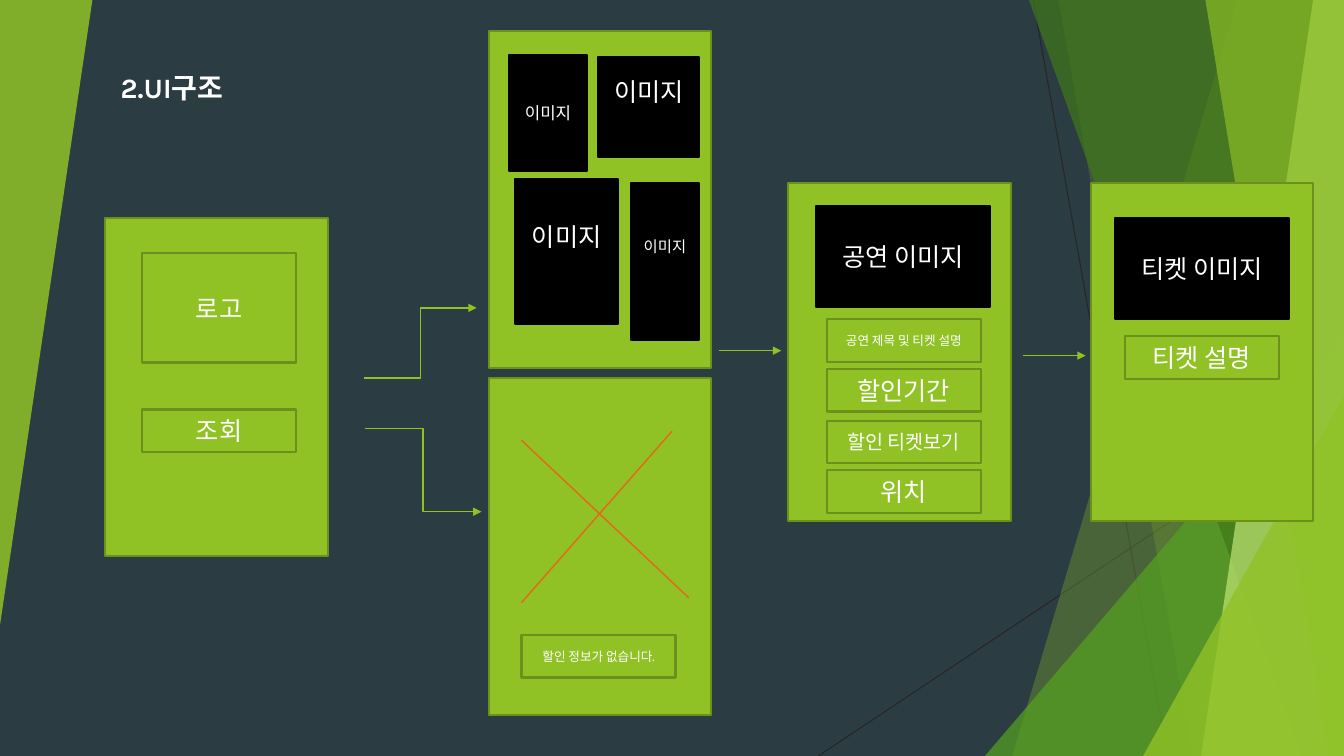
"""Build the UI structure slide: five screen panels joined by arrows."""
from lxml import etree
from pptx import Presentation
from pptx.dml.color import RGBColor
from pptx.enum.shapes import MSO_CONNECTOR, MSO_SHAPE
from pptx.enum.text import MSO_ANCHOR, MSO_AUTO_SIZE, PP_ALIGN
from pptx.oxml.ns import qn
from pptx.util import Pt

RECT, TRI = MSO_SHAPE.RECTANGLE, MSO_SHAPE.RIGHT_TRIANGLE
TRI = MSO_SHAPE.ISOSCELES_TRIANGLE
LINE, BENT = MSO_CONNECTOR.STRAIGHT, MSO_CONNECTOR.ELBOW
MIDDLE, BOTTOM = MSO_ANCHOR.MIDDLE, MSO_ANCHOR.BOTTOM
CENTER, LEFT = PP_ALIGN.CENTER, PP_ALIGN.LEFT
FONT = "Karla"
WIDE, HIGH = 960, 540
COLORS = {
    "back": "2C3C43", "lime": "90C226", "edge": "6B901C", "black": "000000",
    "white": "FFFFFF", "cross": "E76618", "hair": "262626",
    "green": "54A021", "dark": "3F7819", "pale": "C0E474",
}
RGB = {name: RGBColor.from_string(code) for name, code in COLORS.items()}

deck = Presentation()
deck.slide_width, deck.slide_height = Pt(WIDE), Pt(HIGH)
slide = deck.slides.add_slide(deck.slide_layouts[5])
slide.background.fill.solid()
slide.background.fill.fore_color.rgb = RGB["back"]
shapes = slide.shapes


def box(x, y, w, h, fill, edge, text="", size=18, lift=0):
    """Add a bordered rectangle with centred text, raised by lift points."""
    item = shapes.add_shape(RECT, Pt(x), Pt(y), Pt(w), Pt(h))
    item.shadow.inherit = False
    item.fill.solid()
    item.fill.fore_color.rgb = RGB[fill]
    item.line.color.rgb = RGB[edge]
    item.line.width = Pt(1.5)
    if text:
        frame = item.text_frame
        frame.text = text
        frame.vertical_anchor = MIDDLE
        frame.margin_bottom = Pt(3.6 + 2 * lift)
        frame.paragraphs[0].alignment = CENTER
        font = frame.paragraphs[0].runs[0].font
        font.name, font.size = FONT, Pt(size)
        font.color.rgb = RGB["white"]


def link(kind, x1, y1, x2, y2, color, width=1, arrow=False):
    """Add a connector, with an arrowhead at its end if asked."""
    item = shapes.add_connector(kind, Pt(x1), Pt(y1), Pt(x2), Pt(y2))
    item.line.color.rgb = RGB[color]
    item.line.width = Pt(width)
    if arrow:
        tail = etree.SubElement(item.line._get_or_add_ln(), qn("a:tailEnd"))
        tail.set("type", "triangle")
    etree.SubElement(item._element.spPr, qn("a:effectLst"))


link(LINE, 738, 0, 834, HIGH, "hair", 0.75)
link(LINE, WIDE, 290, 584.5, HIGH, "hair", 0.75)

decor = [
    ("wing", 884, 723, "lime", 30),
    ("wing", 756, 852, "lime", 20),
    ("peak", 703.5, 240, "green", 72),
    ("wing", 735, 929.5, "dark", 70),
    ("wing", 938, 858, "pale", 70),
    ("wing", 861, 949, "lime", 65),
    ("peak", 816.5, 283, "lime", 80),
    ("side", 66, 446.5, "lime", 85),
]
for kind, a, b, color, alpha in decor:
    if kind == "wing":
        path = shapes.build_freeform(a, 0, scale=12700)
        path.add_line_segments([(WIDE, 0), (WIDE, HIGH), (b, HIGH)])
        item = path.convert_to_shape()
    else:
        area = (0, 0, a, b) if kind == "side" else (a, b, WIDE - a, HIGH - b)
        item = shapes.add_shape(TRI, *map(Pt, area))
        item.adjustments[0] = 1
        item.rotation = 180 if kind == "side" else 0
    item.shadow.inherit = False
    item.line.fill.background()
    item.fill.solid()
    item.fill.fore_color.rgb = RGB[color]
    tint = item._element.spPr.find(".//" + qn("a:srgbClr"))
    etree.SubElement(tint, qn("a:alpha")).set("val", str(alpha * 1000))

title = shapes.title
title.left, title.top, title.width, title.height = map(Pt, (79, 45.5, 466, 32.5))
frame = title.text_frame
frame.text = "2.UI구조"
frame.auto_size = MSO_AUTO_SIZE.NONE
frame.vertical_anchor = BOTTOM
frame.paragraphs[0].alignment = LEFT
font = frame.paragraphs[0].runs[0].font
font.name, font.size, font.bold = FONT, Pt(20), True
font.color.rgb = RGB["white"]

for x, y in [(75, 156), (349, 22), (349, 270), (563, 131), (779, 131)]:
    box(x, y, 159, 241, "lime", "edge")

photos = [
    (363.5, 39, 56, 83, "이미지", 12, 0),
    (427.5, 40.5, 72, 72, "이미지", 18, 11),
    (368, 128, 73.5, 103.5, "이미지", 18, 11),
    (450.5, 130.5, 49, 112.5, "이미지", 11, 11),
    (583, 147.5, 124, 72, "공연 이미지", 18, 0),
    (796.5, 156, 124, 72, "티켓 이미지", 18, 0),
]
for x, y, w, h, text, size, lift in photos:
    box(x, y, w, h, "black", "black", text, size, lift)

labels = [
    (101.5, 181, 78, "로고", 18),
    (101.5, 292.5, 30.5, "조회", 18),
    (372.5, 453.5, 30.5, "할인 정보가 없습니다.", 9),
    (590.5, 228, 30.5, "공연 제목 및 티켓 설명", 9),
    (590.5, 263.5, 30.5, "할인기간", 18),
    (590.5, 300.5, 30.5, "할인 티켓보기", 14),
    (590.5, 336, 30.5, "위치", 18),
    (803.5, 240, 30.5, "티켓 설명", 18),
]
for x, y, h, text, size in labels:
    box(x, y, 110, h, "lime", "edge", text, size)

link(LINE, 480, 308, 372.5, 430.5, "cross")
link(LINE, 372.5, 314.5, 492, 427, "cross")

arrows = [
    (BENT, 260, 270, 340.5, 220),
    (BENT, 260.5, 306, 344, 365.5),
    (LINE, 513.5, 250.5, 558, 250.5),
    (LINE, 731, 254, 775.5, 254),
]
for arrow in arrows:
    link(*arrow, "lime", arrow=True)

deck.save("out.pptx")
